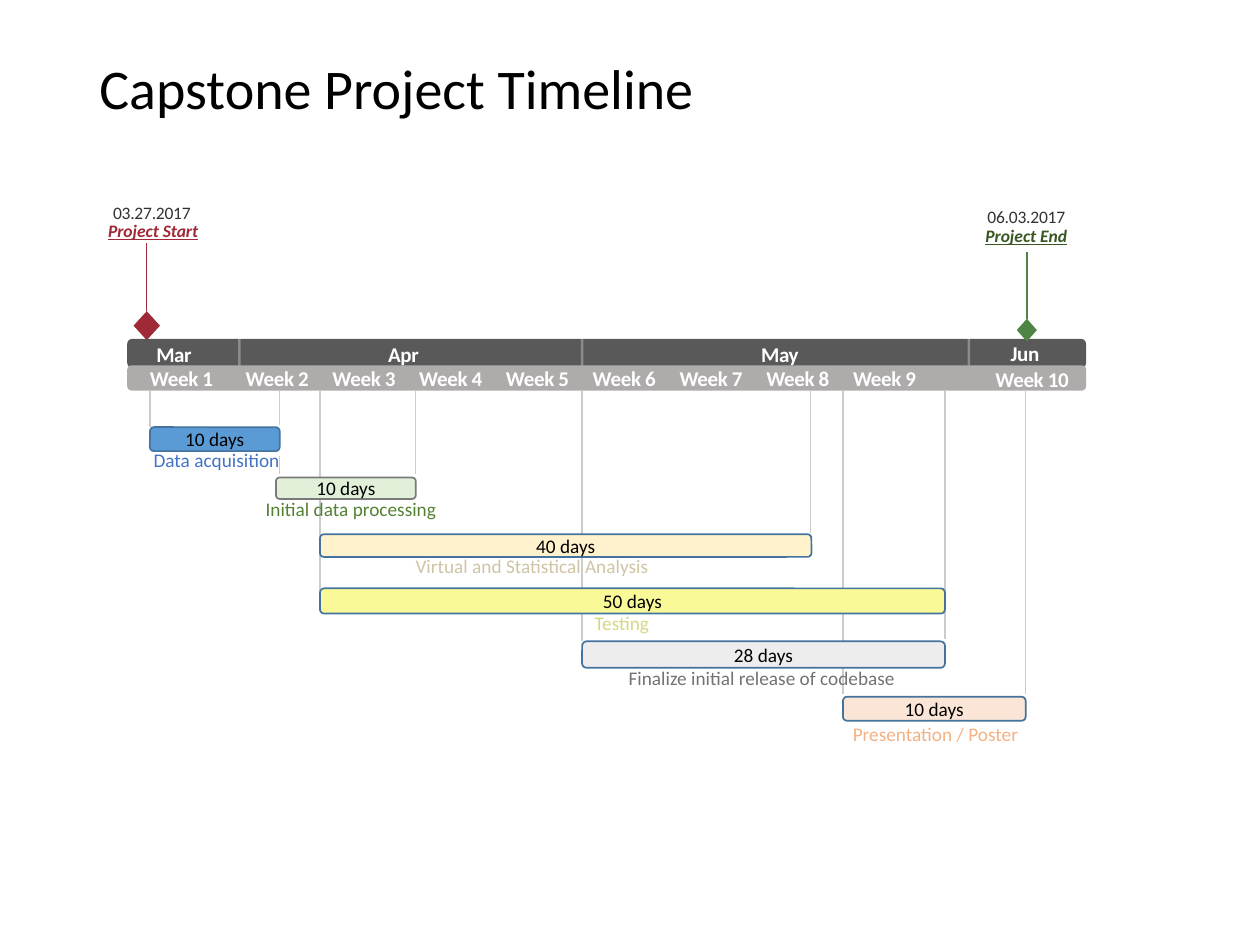
from dataclasses import dataclass

from lxml.etree import SubElement
from pptx import Presentation
from pptx.dml.color import RGBColor
from pptx.enum.shapes import MSO_CONNECTOR as Connector, MSO_SHAPE as Preset
from pptx.enum.text import MSO_ANCHOR as Anchor, MSO_AUTO_SIZE as AutoSize, PP_ALIGN as Align
from pptx.oxml.ns import qn
from pptx.util import Inches, Pt

FONT = "Calibri"
GRID = "CCCCCC"
MONTH_FILL = "595959"
WEEK_FILL = "AFABAB"
BAR_LINE = "43739E"
BAND_BOTTOM = 3.1
HEADER_FORMAT = {"size": Pt(12), "bold": True}
TASK_FORMAT = {"size": Pt(11)}
DATE_FORMAT = {"size": Pt(10)}
EVENT_FORMAT = {"size": Pt(10), "bold": True, "italic": True, "underline": True}
NO_MARGINS = {f"margin_{side}": 0 for side in ("left", "top", "right", "bottom")}
MIDDLE = {**NO_MARGINS, "vertical_anchor": Anchor.MIDDLE, "word_wrap": True}
CENTRED = {**MIDDLE, "auto_size": AutoSize.SHAPE_TO_FIT_TEXT}
HEADER_FRAME = {**MIDDLE, "word_wrap": False}
LABEL_FRAME = {"word_wrap": True, "auto_size": AutoSize.SHAPE_TO_FIT_TEXT}


@dataclass
class Box:
    left: float
    top: float
    width: float
    height: float

    def lengths(self) -> list:
        return [Inches(n) for n in (self.left, self.top, self.width, self.height)]


@dataclass
class Task:
    duration: str
    bar: Box
    fill: str
    name: str
    label: Box
    color: str
    outline: str = BAR_LINE


@dataclass
class Milestone:
    date: str
    date_box: Box
    event: str
    event_box: Box
    event_color: str
    stem_top: float
    marker: Box
    color: str


TASKS = [
    Task("10 days", Box(1.19, 3.39, 1.03, 0.19), "5B9BD5",
         "Data acquisition", Box(1.12, 3.51, 1.41, 0.34), "4472C4"),
    Task("10 days", Box(2.19, 3.79, 1.11, 0.17), "E2F0D9",
         "Initial data processing", Box(2.01, 3.9, 1.8, 0.34), "548235", "7A7A7A"),
    Task("40 days", Box(2.54, 4.24, 3.9, 0.18), "FFF2CC",
         "Virtual and Statistical Analysis", Box(3.2, 4.35, 2.43, 0.34), "CFC4A5"),
    Task("50 days", Box(2.54, 4.67, 4.96, 0.2), "F9FA97",
         "Testing", Box(4.62, 4.8, 0.79, 0.34), "D7D782"),
    Task("28 days", Box(4.62, 5.09, 2.88, 0.21), "EDEDED",
         "Finalize initial release of codebase", Box(4.89, 5.24, 2.37, 0.29), "767171"),
    Task("10 days", Box(6.69, 5.53, 1.45, 0.19), "FBE5D6",
         "Presentation / Poster", Box(6.67, 5.68, 1.67, 0.29), "F4B183"),
]
MILESTONES = [
    Milestone("03.27.2017", Box(0.85, 1.59, 0.71, 0.2),
              "Project Start", Box(0.81, 1.73, 0.81, 0.2), "9F2936",
              1.93, Box(1.06, 2.47, 0.21, 0.23), "9F2936"),
    Milestone("06.03.2017", Box(7.79, 1.62, 0.71, 0.2),
              "Project End", Box(7.78, 1.77, 0.73, 0.2), "385723",
              2.0, Box(8.07, 2.53, 0.16, 0.18), "4E8542"),
]
MONTHS = [("Mar", Box(1.24, 2.73, 0.32, 0.16)), ("Apr", Box(3.08, 2.73, 0.32, 0.16)),
          ("May", Box(6.04, 2.73, 0.32, 0.16)), ("Jun", Box(8.02, 2.72, 0.32, 0.16))]
WEEKS = [("Week 1", Box(1.19, 2.92, 0.62, 0.16)),
         *((f"Week {n}", Box(1.95 + 4.82 / 7 * (n - 2), 2.92, 0.62, 0.16))
           for n in range(2, 10)),
         ("Week 10", Box(7.9, 2.93, 0.68, 0.16))]
GRID_ENDS = {1.19: 3.39, 2.22: 3.37, 2.54: 4.77, 3.3: 3.76, 4.62: 5.09,
             6.43: 4.23, 6.69: 5.51, 7.5: 5.07, 8.14: 5.51}
MONTH_BREAKS = {1.9: 2.69, 4.62: 2.69, 7.69: 2.68}


def rgb(color: str) -> RGBColor:
    return RGBColor.from_string(color)


def apply(target, values: dict) -> None:
    for name, value in values.items():
        setattr(target, name, value)


def write(shape, text: str, color: str, font_format: dict, frame_format: dict,
          align=Align.LEFT, spacing: int = 0):
    frame = shape.text_frame
    apply(frame, frame_format)
    paragraph = frame.paragraphs[0]
    paragraph.alignment = align
    run = paragraph.add_run()
    run.text = text
    apply(run.font, {"name": FONT, **font_format})
    run.font.color.rgb = rgb(color)
    if spacing:
        run.font._element.set("spc", str(spacing))
    return paragraph


def add_text(slide, box: Box, *args, **options):
    return write(slide.shapes.add_textbox(*box.lengths()), *args, **options)


def add_preset(slide, preset, box: Box, fill: str, outline: str = ""):
    shape = slide.shapes.add_shape(preset, *box.lengths())
    shape.shadow.inherit = False
    shape.fill.solid()
    shape.fill.fore_color.rgb = rgb(fill)
    if outline:
        shape.line.color.rgb = rgb(outline)
        shape.line.width = Pt(1)
    else:
        shape.line.fill.background()
    return shape


def add_vertical(slide, x: float, top: float, bottom: float, color: str,
                 width: float = 0.75, opacity: int = 100):
    line = slide.shapes.add_connector(
        Connector.STRAIGHT, *(Inches(n) for n in (x, top, x, bottom)))
    line.line.color.rgb = rgb(color)
    line.line.width = Pt(width)
    properties = line._element.spPr
    if opacity < 100:
        tint = properties.find(".//" + qn("a:srgbClr"))
        SubElement(tint, qn("a:alpha")).set("val", str(opacity * 1000))
    SubElement(properties, qn("a:effectLst"))
    return line


def draw_header(slide) -> None:
    add_preset(slide, Preset.ROUNDED_RECTANGLE, Box(1.01, 2.69, 7.61, 0.23), MONTH_FILL)
    for name, box in MONTHS:
        month = add_preset(slide, Preset.RECTANGLE, box, MONTH_FILL)
        write(month, name, "FFFFFF", HEADER_FORMAT, HEADER_FRAME, spacing=-20)
    for x, top in MONTH_BREAKS.items():
        add_vertical(slide, x, top, top + 0.22, "FFFFFF", 1.5, 30)
    add_preset(slide, Preset.ROUNDED_RECTANGLE, Box(1.01, 2.9, 7.61, 0.2), WEEK_FILL)
    for name, box in WEEKS:
        add_text(slide, box, name, "FFFFFF", HEADER_FORMAT, HEADER_FRAME, spacing=-20)


def draw_task(slide, task: Task) -> None:
    bar = add_preset(slide, Preset.ROUNDED_RECTANGLE, task.bar, task.fill, task.outline)
    write(bar, task.duration, "000000", TASK_FORMAT, MIDDLE, Align.CENTER)
    add_text(slide, task.label, task.name, task.color, TASK_FORMAT, LABEL_FRAME)


def draw_milestone(slide, milestone: Milestone) -> None:
    box = milestone.marker
    marker = add_preset(slide, Preset.DIAMOND, box, milestone.color)
    stem = add_vertical(slide, box.left + box.width / 2, milestone.stem_top, box.top,
                        milestone.color)
    stem.end_connect(marker, 0)
    add_text(slide, milestone.event_box, milestone.event, milestone.event_color,
             EVENT_FORMAT, CENTRED, Align.CENTER)
    add_text(slide, milestone.date_box, milestone.date, "323232",
             DATE_FORMAT, CENTRED, Align.CENTER, spacing=-10)


def main() -> None:
    presentation = Presentation()
    apply(presentation, {"slide_width": Inches(10), "slide_height": Inches(7.5)})
    slide = presentation.slides.add_slide(presentation.slide_layouts[6])
    title = add_text(slide, Box(0.69, 0.4, 8.62, 0.65), "Capstone Project Timeline",
                     "000000", {"size": Pt(32)},
                     {"vertical_anchor": Anchor.MIDDLE, "word_wrap": True})
    title.line_spacing = 0.9
    for x, bottom in GRID_ENDS.items():
        add_vertical(slide, x, BAND_BOTTOM, bottom, GRID)
    add_vertical(slide, 2.22, 3.62, 3.76, GRID)
    draw_header(slide)
    for task in TASKS:
        draw_task(slide, task)
    for milestone in MILESTONES:
        draw_milestone(slide, milestone)
    presentation.save("out.pptx")


if __name__ == "__main__":
    main()
